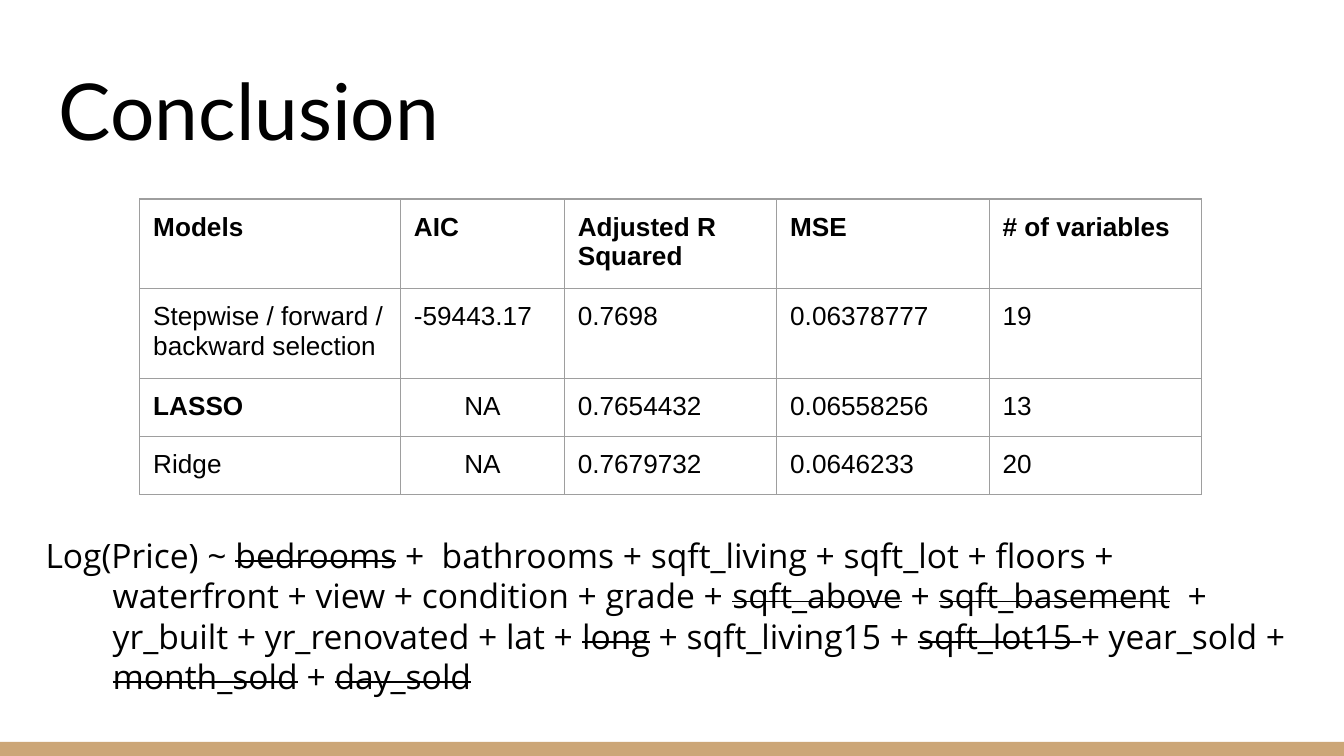
from pptx import Presentation, util as u
from pptx.dml.color import RGBColor
from pptx.enum import shapes, text
from pptx.oxml import ns
from lxml import etree

TITLE = "Conclusion"
ROWS = [
    ("Models", "AIC", "Adjusted R Squared", "MSE", "# of variables"),
    ("Stepwise / forward / backward selection", "-59443.17", "0.7698", "0.06378777", "19"),
    ("LASSO", "NA", "0.7654432", "0.06558256", "13"),
    ("Ridge", "NA", "0.7679732", "0.0646233", "20"),
]
BOLD = {*ROWS[0], "LASSO"}
FORMULA = [
    "Log(Price) ~ |bedrooms| +  bathrooms + sqft_living + sqft_lot + floors +",
    "waterfront + view + condition + grade + |sqft_above| + |sqft_basement|  +",
    "yr_built + yr_renovated + lat + |long| + sqft_living15 + |sqft_lot15 |+ year_sold +",
    "|month_sold| + |day_sold",
]

THEME = {
    "ink": RGBColor.from_string("000000"),
    "bar": RGBColor.from_string("CCA677"),
    "border": "9E9E9E",
    "title": {"name": "Lato", "size": u.Pt(42)},
    "table": {"name": "Arial", "size": u.Pt(14)},
    "formula": {"name": "Open Sans", "size": u.Pt(18)},
}
W = u.Inches(10)
H = W * 9 // 16
PAD = u.Inches(0.1)
COLS = [1.94, 1.22, 1.58, 1.58, 1.58]
ROW_HEIGHT = u.Inches(0.42)
TABLE_LEFT, TABLE_TOP = u.Inches(1.04), u.Inches(1.48)
TABLE_FRAME = {"width": u.Inches(3.28), "height": u.Inches(3.28)}
BAR_TOP = u.Inches(5.52)
INSETS = dict.fromkeys(("margin_left", "margin_top", "margin_right", "margin_bottom"), PAD)


def apply(obj, values):
    for name, value in values.items():
        setattr(obj, name, value)


def add_run(p, words, style, **extra):
    r = p.add_run()
    r.text = words
    apply(r.font, {**THEME[style], **extra})
    r.font.color.rgb = THEME["ink"]
    return r


def centred_box(s, top, width, height, anchor):
    left = (W - u.Inches(width)) // 2
    sp = s.shapes.add_textbox(left, u.Inches(top), u.Inches(width), u.Inches(height))
    apply(sp.text_frame, {**INSETS, "word_wrap": True, "vertical_anchor": anchor})
    return sp.text_frame


def add_borders(cell):
    props = cell._tc.get_or_add_tcPr()
    for i, side in enumerate(("lnL", "lnR", "lnT", "lnB")):
        ln = etree.Element(ns.qn(f"a:{side}"), w=str(u.Pt(0.75)))
        fill = etree.SubElement(ln, ns.qn("a:solidFill"))
        etree.SubElement(fill, ns.qn("a:srgbClr"), val=THEME["border"])
        props.insert(i, ln)


def add_results(s):
    frame = s.shapes.add_table(len(ROWS), len(COLS), TABLE_LEFT, TABLE_TOP,
                               u.Inches(sum(COLS)), ROW_HEIGHT * len(ROWS))
    table = frame.table
    apply(table, {"first_row": False, "horz_banding": False})
    for col, size in zip(table.columns, COLS):
        col.width = u.Inches(size)
    for row, values in zip(table.rows, ROWS):
        for cell, value in zip(row.cells, values):
            apply(cell, INSETS)
            cell.fill.background()
            add_borders(cell)
            p = cell.text_frame.paragraphs[0]
            p.alignment = text.PP_ALIGN.CENTER if value == "NA" else text.PP_ALIGN.LEFT
            add_run(p, value, "table", bold=value in BOLD)
    apply(frame, TABLE_FRAME)


def add_formula(s):
    tf = centred_box(s, 3.88, 9.52, 1.46, text.MSO_ANCHOR.TOP)
    for i, line in enumerate(FORMULA):
        p = tf.add_paragraph() if i else tf.paragraphs[0]
        if i:
            props = p._p.get_or_add_pPr()
            props.set("marL", "0")
            props.set("indent", str(u.Inches(0.5)))
        for j, words in enumerate(line.split("|")):
            if words:
                r = add_run(p, words, "formula")
                if j % 2:
                    r._r.get_or_add_rPr().set("strike", "sngStrike")


def main():
    prs = Presentation()
    apply(prs, {"slide_width": W, "slide_height": H})
    s = prs.slides.add_slide(prs.slide_layouts[6])
    bar = s.shapes.add_shape(shapes.MSO_SHAPE.RECTANGLE, 0, BAR_TOP, W, H - BAR_TOP)
    bar.shadow.inherit = False
    bar.fill.solid()
    bar.fill.fore_color.rgb = THEME["bar"]
    bar.line.fill.background()
    title = centred_box(s, 0.35, 9.32, 0.91, text.MSO_ANCHOR.BOTTOM)
    add_run(title.paragraphs[0], TITLE, "title")
    add_results(s)
    add_formula(s)
    prs.save("out.pptx")


if __name__ == "__main__":
    main()
